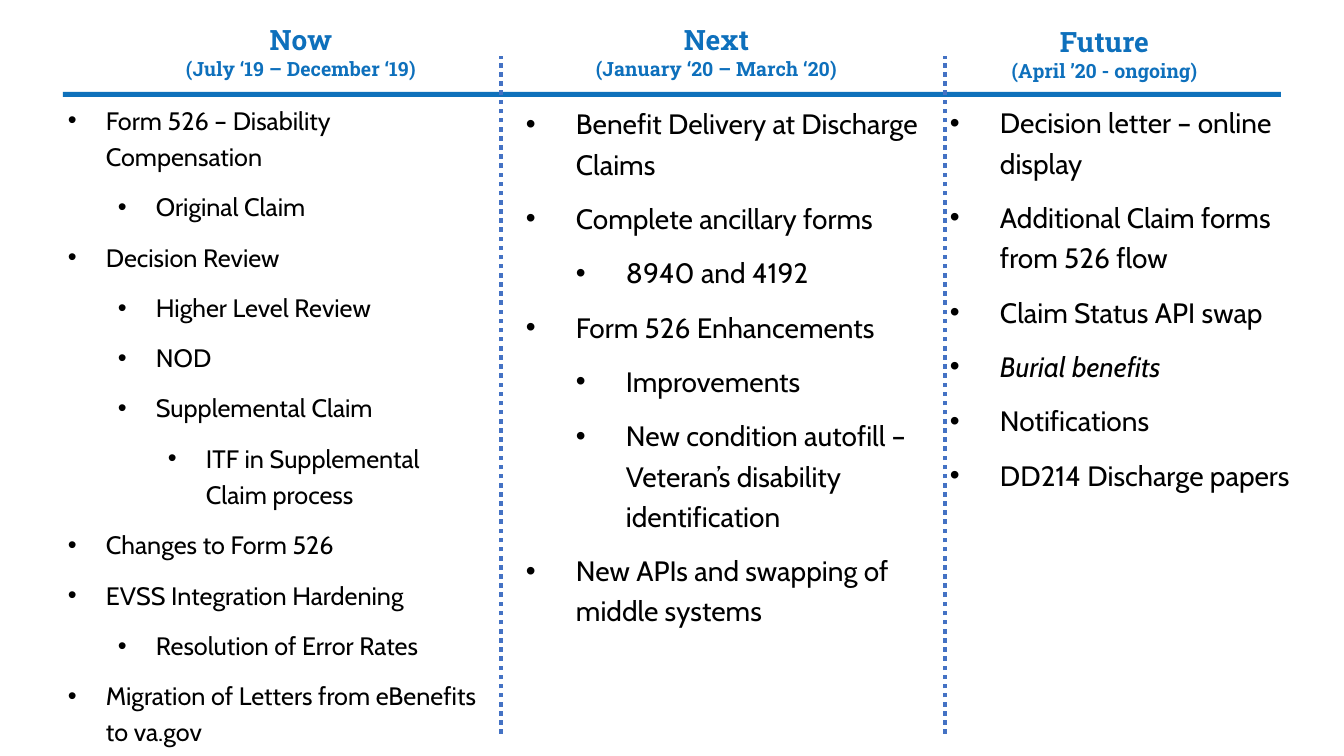
from lxml import etree
from pptx import Presentation
from pptx.dml.color import RGBColor
from pptx.enum.dml import MSO_LINE
from pptx.enum.shapes import MSO_CONNECTOR, MSO_SHAPE
from pptx.enum.text import MSO_ANCHOR, MSO_AUTO_SIZE, PP_ALIGN
from pptx.oxml.ns import qn
from pptx.util import Pt

RECTANGLE = MSO_SHAPE.RECTANGLE
STRAIGHT = MSO_CONNECTOR.STRAIGHT
DOTTED = MSO_LINE.ROUND_DOT
TOP, BOTTOM = MSO_ANCHOR.TOP, MSO_ANCHOR.BOTTOM
GROW = MSO_AUTO_SIZE.SHAPE_TO_FIT_TEXT
CENTER = PP_ALIGN.CENTER

RULE_BLUE = RGBColor(0x0F, 0x71, 0xBB)
HEADING_BLUE = RGBColor(0x0E, 0x70, 0xBC)
DIVIDER_BLUE = RGBColor(0x44, 0x72, 0xC4)
BLACK = RGBColor(0x00, 0x00, 0x00)

EMU_PER_PX = 9071
LEVEL_STEP = 50

HEADINGS = [
    ((115, 12, 372, 78), "Now", "(July ‘19 – December ‘19)"),
    ((568, 12, 297, 78), "Next", "(January ‘20 – March ‘20)"),
    ((956, 14, 297, 78), "Future", "(April ’20 - ongoing)"),
]

NOW_ITEMS = [
    (0, "Form 526 – Disability Compensation"),
    (1, "Original Claim"),
    (0, "Decision Review"),
    (1, "Higher Level Review"),
    (1, "NOD"),
    (1, "Supplemental Claim"),
    (2, "ITF in Supplemental Claim process"),
    (0, "Changes to Form 526"),
    (0, "EVSS Integration Hardening"),
    (1, "Resolution of Error Rates"),
    (0, "Migration of Letters from eBenefits to va.gov"),
]
NEXT_ITEMS = [
    (0, "Benefit Delivery at Discharge Claims"),
    (0, "Complete ancillary forms"),
    (1, "8940 and 4192"),
    (0, "Form 526 Enhancements"),
    (1, "Improvements"),
    (1, "New condition autofill – Veteran’s disability identification"),
    (0, "New APIs and swapping of middle systems"),
]
FUTURE_ITEMS = [
    (0, "Decision letter – online display"),
    (0, "Additional Claim forms from 526 flow"),
    (0, "Claim Status API swap"),
    (0, "Burial benefits"),
    (0, "Notifications"),
    (0, "DD214 Discharge papers"),
]
ITALIC_ITEMS = {"Burial benefits"}

LISTS = [
    ((63, 94, 428, 778), NOW_ITEMS, 18, 38),
    ((521, 95, 421, 705), NEXT_ITEMS, 20, 50),
    ((945, 94, 370, 459), FUTURE_ITEMS, 20, 50),
]
DIVIDERS = [501, 945]


def px(length):
    return length * EMU_PER_PX


def add_rule(page, place):
    rule = page.shapes.add_shape(RECTANGLE, *map(px, place))
    rule.shadow.inherit = False
    rule.fill.solid()
    rule.fill.fore_color.rgb = RULE_BLUE
    rule.line.fill.background()


def add_divider(page, x):
    divider = page.shapes.add_connector(STRAIGHT, px(x), px(734), px(x), px(56))
    divider.line.color.rgb = DIVIDER_BLUE
    divider.line.width = Pt(3.25)
    divider.line.dash_style = DOTTED
    etree.SubElement(divider._element.spPr, qn("a:effectLst"))


def add_box(page, place, inset, anchor):
    box = page.shapes.add_textbox(*map(px, place))
    frame = box.text_frame
    frame.word_wrap = True
    frame.auto_size = GROW
    frame.vertical_anchor = anchor
    frame.margin_left = frame.margin_right = px(inset)
    frame.margin_top = frame.margin_bottom = px(inset)
    return frame


def next_para(frame, index):
    return frame.add_paragraph() if index else frame.paragraphs[0]


def add_span(para, text, font, size, color):
    span = para.add_run()
    span.text = text
    span.font.name = font
    span.font.size = Pt(size)
    span.font.color.rgb = color
    return span


def add_heading(page, place, title, period):
    frame = add_box(page, place, 10, BOTTOM)
    for index, (text, size) in enumerate([(title, 20), (period, 14)]):
        para = next_para(frame, index)
        para.alignment = CENTER
        add_span(para, text, "Roboto Slab", size, HEADING_BLUE).font.bold = True


def set_bullet(para, level, hang):
    para.level = level
    props = para._p.get_or_add_pPr()
    props.set("marL", str(px(hang + LEVEL_STEP * level)))
    props.set("indent", str(-px(hang)))
    etree.SubElement(props, qn("a:buFont")).set("typeface", "Arial")
    etree.SubElement(props, qn("a:buChar")).set("char", "•")


def add_list(page, place, items, size, hang):
    frame = add_box(page, place, 5, TOP)
    for index, (level, text) in enumerate(items):
        para = next_para(frame, index)
        set_bullet(para, level, hang)
        para.line_spacing = 1.2
        if index:
            para.space_before = Pt(10)
        span = add_span(para, text, "Cabin", size, BLACK)
        if text in ITALIC_ITEMS:
            span.font.italic = True


def main():
    deck = Presentation()
    deck.slide_width, deck.slide_height = px(1344), px(756)
    page = deck.slides.add_slide(deck.slide_layouts[6])
    add_rule(page, (63, 92, 1218, 5))
    for heading in HEADINGS:
        add_heading(page, *heading)
    for bullet_list in LISTS:
        add_list(page, *bullet_list)
    for x in DIVIDERS:
        add_divider(page, x)
    deck.save("out.pptx")


if __name__ == "__main__":
    main()
